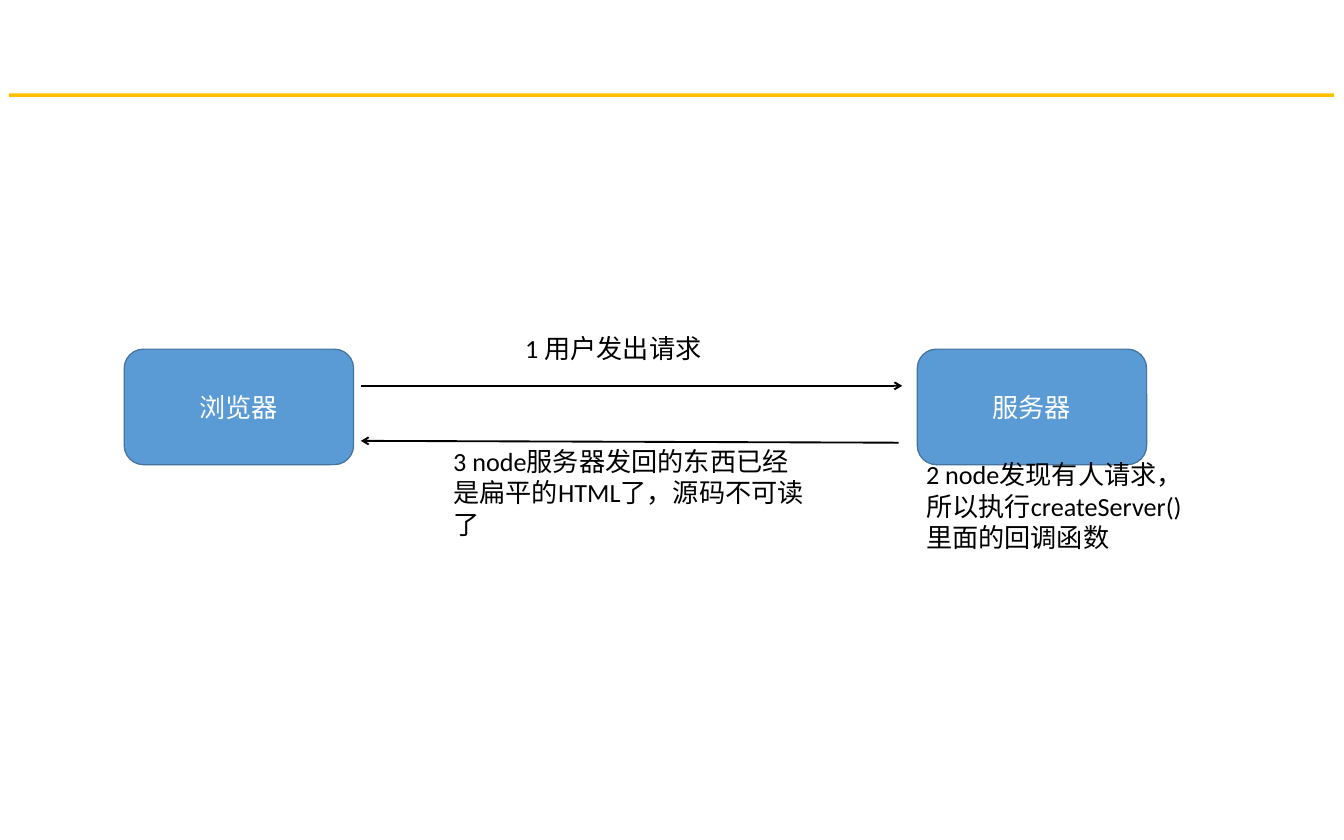
from dataclasses import dataclass

from lxml.etree import SubElement
from pptx import Presentation
from pptx.dml.color import RGBColor
from pptx.enum.shapes import MSO_CONNECTOR, MSO_SHAPE
from pptx.enum.text import MSO_ANCHOR, MSO_AUTO_SIZE, PP_ALIGN
from pptx.oxml.ns import qn
from pptx.util import Pt


@dataclass(frozen=True)
class Theme:
    font: str = "Calibri"
    text_size: float = 21.2
    ink: RGBColor = RGBColor(0, 0, 0)
    node_text: RGBColor = RGBColor(0xFF, 0xFF, 0xFF)
    node_fill: RGBColor = RGBColor(0x5B, 0x9B, 0xD5)
    node_line: RGBColor = RGBColor(0x43, 0x73, 0x9E)
    rule: RGBColor = RGBColor(0xFF, 0xC0, 0x00)
    node_line_width: float = 1
    arrow_width: float = 1.5


THEME = Theme()
NODE_TOP, NODE_WIDTH, NODE_HEIGHT = 282.8, 185.8, 93.6
BROWSER_LEFT, SERVER_LEFT = 100.6, 743


def set_attributes(target, values):
    for name, value in values.items():
        setattr(target, name, value)


def write_text(frame, text, color, align):
    para = frame.paragraphs[0]
    para.alignment = align
    span = para.add_run()
    span.text = text
    set_attributes(span.font, {"name": THEME.font, "size": Pt(THEME.text_size)})
    span.font.color.rgb = color


def add_filled_shape(slide, kind, left, top, width, height, fill):
    shape = slide.shapes.add_shape(kind, Pt(left), Pt(top), Pt(width), Pt(height))
    shape.shadow.inherit = False
    shape.fill.solid()
    shape.fill.fore_color.rgb = fill
    return shape


def add_title_rule(slide):
    rule = add_filled_shape(slide, MSO_SHAPE.RECTANGLE, 7.2, 75.6, 1073.5, 2.9, THEME.rule)
    rule.line.fill.background()


def add_node(slide, text, left):
    node = add_filled_shape(slide, MSO_SHAPE.ROUNDED_RECTANGLE, left, NODE_TOP,
                            NODE_WIDTH, NODE_HEIGHT, THEME.node_fill)
    node.line.color.rgb = THEME.node_line
    node.line.width = Pt(THEME.node_line_width)
    node.text_frame.vertical_anchor = MSO_ANCHOR.MIDDLE
    write_text(node.text_frame, text, THEME.node_text, PP_ALIGN.CENTER)


def add_label(slide, text, left, top, width, height):
    box = slide.shapes.add_textbox(Pt(left), Pt(top), Pt(width), Pt(height))
    set_attributes(box.text_frame, {
        "word_wrap": True,
        "auto_size": MSO_AUTO_SIZE.SHAPE_TO_FIT_TEXT,
    })
    write_text(box.text_frame, text, THEME.ink, PP_ALIGN.LEFT)


def add_arrow(slide, start, end):
    arrow = slide.shapes.add_connector(
        MSO_CONNECTOR.STRAIGHT, *(Pt(value) for value in (*start, *end)))
    arrow.line.color.rgb = THEME.ink
    arrow.line.width = Pt(THEME.arrow_width)
    SubElement(arrow.line._get_or_add_ln(), qn("a:tailEnd"), type="arrow")
    SubElement(arrow._element.spPr, qn("a:effectLst"))


def main():
    deck = Presentation()
    set_attributes(deck, {"slide_width": Pt(1088.64), "slide_height": Pt(680.4)})
    slide = deck.slides.add_slide(deck.slide_layouts[6])

    add_title_rule(slide)
    add_node(slide, "服务器", SERVER_LEFT)
    add_node(slide, "浏览器", BROWSER_LEFT)

    add_arrow(slide, (292.3, 312.5), (730.8, 312.5))
    add_arrow(slide, (727.9, 358.6), (292.3, 357.1))

    add_label(slide, "1 用户发出请求", 418.3, 265.7, 185.8, 33.1)
    add_label(slide, "2 node发现有人请求，所以执行createServer()里面的回调函数",
              SERVER_LEFT, 367.9, 236.2, 84.2)
    add_label(slide, "3 node服务器发回的东西已经是扁平的HTML了，源码不可读了",
              360, 357.1, 303.8, 84.2)

    deck.save("out.pptx")


if __name__ == "__main__":
    main()
